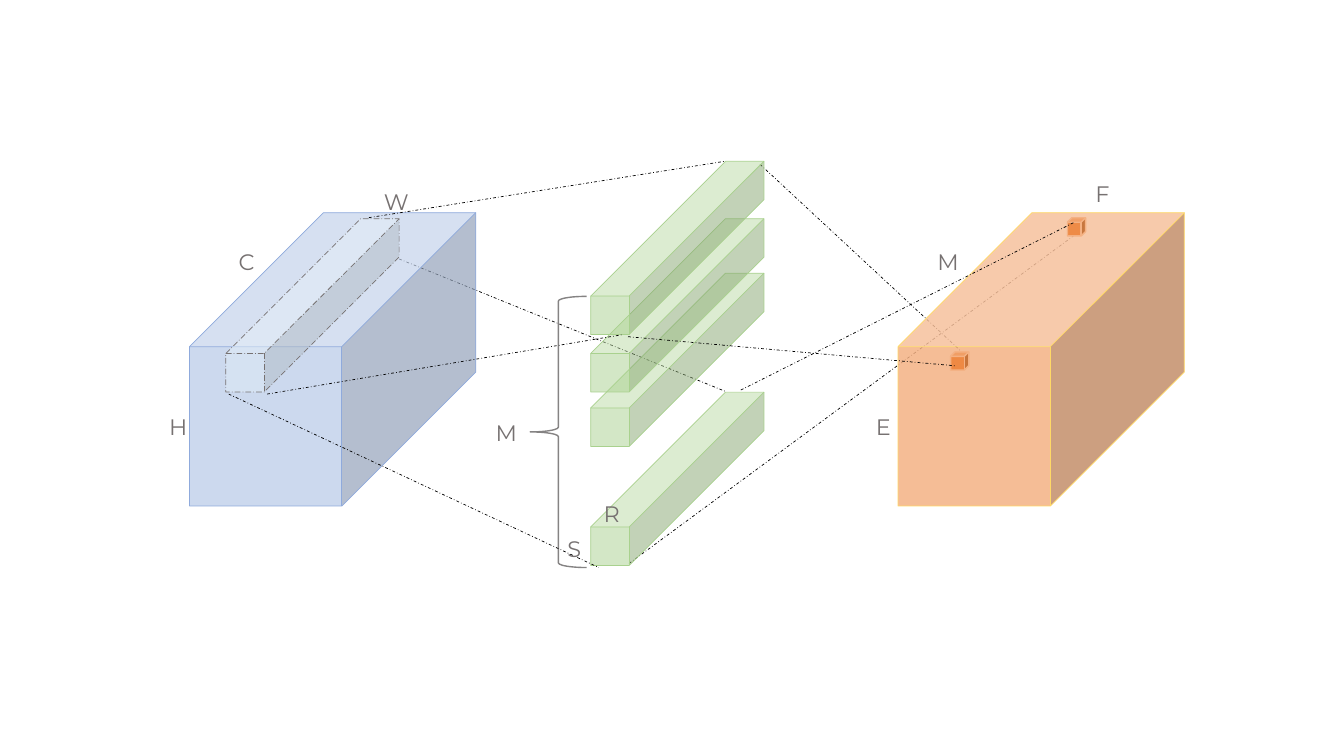
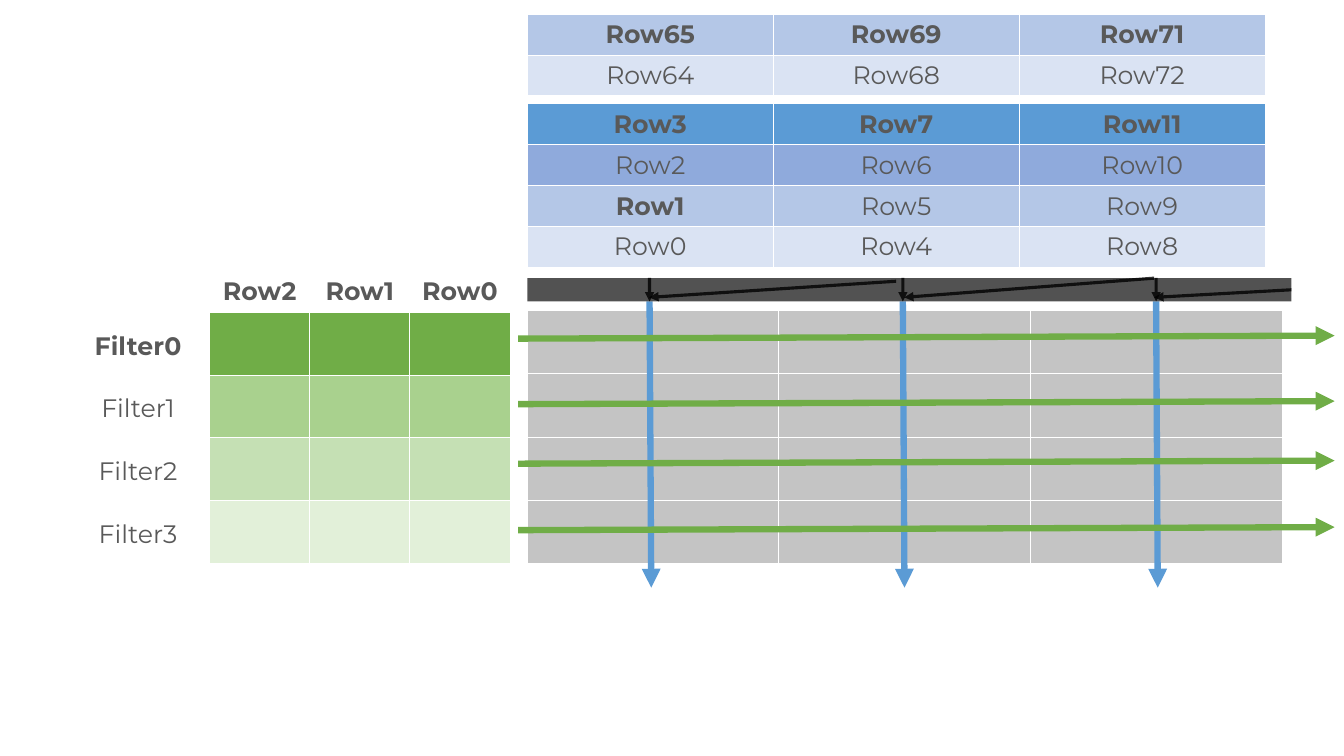
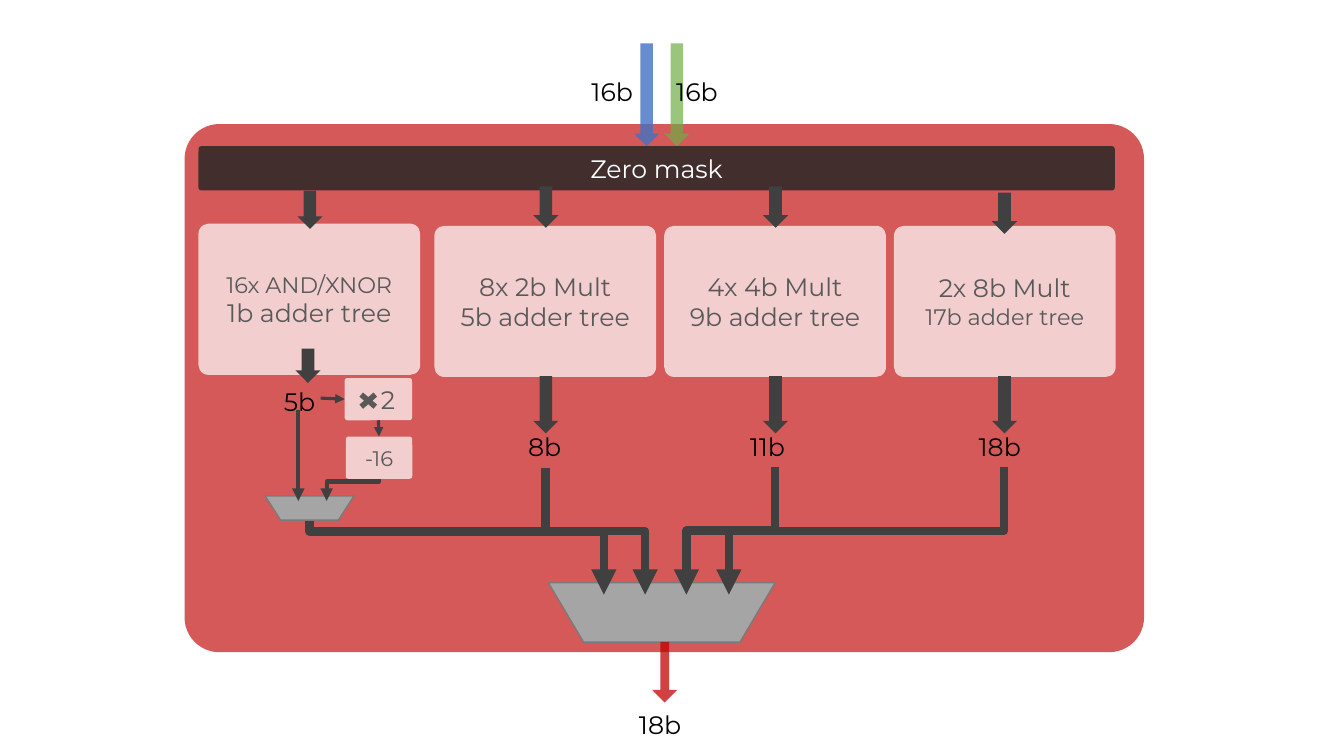
from lxml import etree
from pptx import Presentation, util as u
from pptx.dml.color import RGBColor
from pptx.enum import dml, shapes, text
from pptx.oxml import ns

Pt = u.Pt
KIND = shapes.MSO_SHAPE
DASH = dml.MSO_LINE
FONT = "Montserrat"
COLORS = {
    "black": "000000", "white": "FFFFFF", "gray": "767171", "ink": "595959",
    "dark": "404040", "mask": "262626", "brace": "3B3838",
    "silver": "A5A5A5", "silver edge": "7A7A7A",
    "royal": "4472C4", "blue": "5B9BD5", "blue 3": "8FAADC",
    "blue 2": "B4C7E7", "blue 1": "DAE3F3", "ice": "DEEBF7",
    "green": "70AD47", "green 3": "A9D18E", "green 2": "C5E0B4",
    "green 1": "E2F0D9", "orange": "ED7D31", "peach": "F4B183",
    "gold": "FFD966", "red": "C00000",
}
NS = ns.nsmap("a") if callable(ns.nsmap) else {"a": ns.nsmap["a"]}
CORNER = 0.066


# --- Shared helpers ---
def apply(target, formats):
    for name, value in formats.items():
        setattr(target, name, value)


def color(name):
    return RGBColor.from_string(COLORS[name])


def add_node(parent, tag, **attributes):
    return etree.SubElement(parent, ns.qn(tag), attributes)


def fade(parent, route, opacity):
    if opacity < 100:
        node = parent.find(route + "a:solidFill/a:srgbClr", NS)
        add_node(node, "a:alpha", val=str(opacity * 1000))


def style_line(owner, name, weight, dash=None, opacity=100):
    owner.line.color.rgb = color(name)
    owner.line.width = Pt(weight)
    if dash:
        owner.line.dash_style = dash
    fade(owner._element.spPr, "a:ln/", opacity)


def write(para, words, size, ink, bold=False, align=text.PP_ALIGN.CENTER):
    para.alignment = align
    span = para.add_run()
    span.text = words
    apply(span.font, {"name": FONT, "size": Pt(size), "bold": bold})
    span.font.color.rgb = color(ink)


# --- Element kinds ---
def add_shape(page, kind, area, fill=None, opacity=100, line=None, adjust=()):
    """Draw a preset shape; line holds the arguments of style_line."""
    shape = page.shapes.add_shape(kind, *map(Pt, area))
    shape.shadow.inherit = False
    for index, value in enumerate(adjust):
        shape.adjustments[index] = value
    if fill:
        shape.fill.solid()
        shape.fill.fore_color.rgb = color(fill)
        fade(shape._element.spPr, "", opacity)
    else:
        shape.fill.background()
    if line:
        style_line(shape, *line)
    else:
        shape.line.fill.background()
    return shape


def add_panel(page, area, lines, fill="white", opacity=71, ink="ink", indent=7.2):
    """Rounded box with centred (words, size) lines."""
    panel = add_shape(page, KIND.ROUNDED_RECTANGLE, area, fill, opacity,
                      adjust=[CORNER])
    frame = panel.text_frame
    apply(frame, {"word_wrap": True, "margin_left": Pt(indent),
                  "vertical_anchor": text.MSO_ANCHOR.MIDDLE})
    for index, (words, size) in enumerate(lines):
        para = frame.add_paragraph() if index else frame.paragraphs[0]
        write(para, words, size, ink)
    return panel


def add_label(page, words, left, top, width, size=18, ink="black"):
    height = 28.8 if size == 18 else 26.6
    box = page.shapes.add_textbox(*map(Pt, (left, top, width, height)))
    apply(box.text_frame, {"word_wrap": False,
                           "auto_size": text.MSO_AUTO_SIZE.SHAPE_TO_FIT_TEXT})
    write(box.text_frame.paragraphs[0], words, size, ink,
          align=text.PP_ALIGN.LEFT)


def finish_connector(connector, name, weight, dash=None, opacity=100, arrow=True):
    style_line(connector, name, weight, dash, opacity)
    props = connector._element.spPr
    if arrow:
        add_node(props.find("a:ln", NS), "a:tailEnd", type="triangle")
    add_node(props, "a:effectLst")


def add_line(page, ends, name, weight, begin=None, end=None, **options):
    """Straight line; begin and end are (shape, side) joints."""
    connector = page.shapes.add_connector(shapes.MSO_CONNECTOR.STRAIGHT,
                                          *map(Pt, ends))
    if begin:
        connector.begin_connect(*begin)
    if end:
        connector.end_connect(*end)
    finish_connector(connector, name, weight, **options)


def add_elbow(page, ends, bend, weight):
    """Down, across, down: a horizontal elbow turned by a quarter."""
    x1, y1, x2, y2 = ends
    length, across = y2 - y1, abs(x2 - x1)
    left, top = (x1 + x2 - length) / 2, (y1 + y2 - across) / 2
    connector = page.shapes.add_connector(
        shapes.MSO_CONNECTOR.ELBOW,
        *map(Pt, (left, top, left + length, top + across)))
    props = connector._element.spPr
    frame = props.find("a:xfrm", NS)
    if x2 > x1:
        frame.set("rot", "16200000")
        frame.set("flipH", "1")
    else:
        frame.set("rot", "5400000")
    guides = props.find("a:prstGeom/a:avLst", NS)
    add_node(guides, "a:gd", name="adj1", fmla=f"val {round(bend * 100000)}")
    finish_connector(connector, "dark", weight)


def add_grid(page, left, top, width, height, rows, fills, bold=(), opacity=100):
    """Table with white rules, one fill per row; bold lists bold words."""
    count = len(rows[0])
    table = page.shapes.add_table(
        len(rows), count, Pt(left), Pt(top),
        Pt(width) * count, Pt(height) * len(rows)).table
    apply(table, {"first_row": False, "horz_banding": False})
    for r, (row, fill) in enumerate(zip(rows, fills)):
        for c, words in enumerate(row):
            cell = table.cell(r, c)
            props = cell._tc.get_or_add_tcPr()
            for side in "LRTB":
                rule = add_node(props, f"a:ln{side}", w=str(int(Pt(0.75))))
                paint = add_node(rule, "a:solidFill")
                add_node(paint, "a:srgbClr", val=COLORS["white"])
            if fill:
                cell.fill.solid()
                cell.fill.fore_color.rgb = color(fill)
                fade(props, "", opacity)
            else:
                cell.fill.background()
            if words:
                write(cell.text_frame.paragraphs[0], words, 18, "ink",
                      words in bold)


# --- Slide 1: convolution volumes ---
def draw_convolution(page):
    def project(*lines):
        for ends in lines:
            add_line(page, ends, "black", 0.5, dash=DASH.DASH_DOT, arrow=False)

    def add_cube(left, top, width, height, *look, depth=0.25):
        add_shape(page, KIND.CUBE, (left, top, width, height), *look, [depth])

    # Projection lines behind the volumes
    project((542.9, 117.4, 686.9, 251.3), (449.3, 402.5, 766.8, 168.5),
            (285.1, 185, 517.7, 279.4))

    # Input and output volumes
    add_cube(135.4, 151.9, 204.5, 209.5, "blue 2", 67, ("blue 3", 0.5), depth=0.468)
    add_cube(641.5, 151.9, 204.5, 209.5, "peach", 84, ("gold", 0.5), depth=0.468)

    # Filters, input window and output points
    side = 123.8
    for top in (195.1, 156.2, 115.2, 280.1):
        add_cube(421.9, top, side, side, "green 3", 50, ("green 3", 0.5), depth=0.778)
    add_cube(161.3, 156.2, side, side, "ice", 50,
             ("gray", 0.5, DASH.LONG_DASH_DOT), depth=0.778)
    for left, top in ((679, 251.3), (762.5, 155.5)):
        add_cube(left, top, 13, 13, "orange", 81, ("peach", 1))

    # Projection lines in front
    project((190.8, 281.5, 445, 239), (263.5, 155.5, 517.7, 115.2),
            (448.6, 240.5, 683.3, 261.4), (163.4, 281.5, 427.7, 405.4),
            (529.2, 278.6, 766.8, 159.1))

    # Dimension labels
    for words, left, top, width in (
            ("H", 113.8, 291.6, 28), ("W", 267.1, 131, 31),
            ("C", 163.4, 173.5, 27.4), ("M", 662.4, 173.5, 29.5),
            ("E", 618.5, 291.6, 26), ("F", 775.4, 125.3, 26),
            ("R", 424.1, 353.5, 27.4), ("S", 398.2, 378.7, 27.4),
            ("M", 347, 295.9, 29.5)):
        add_label(page, words, left, top, width, 16, "gray")
    add_shape(page, KIND.LEFT_BRACE, (378.7, 211.7, 40.3, 193.7),
              line=("brace", 1, None, 62))


# --- Slide 2: rows streamed through the array ---
def draw_array(page):
    left = 376.6
    blank = [[""] * 3] * 4

    # Tables
    add_grid(page, left, 221.8, 179.8, 45.2, blank, ["silver"] * 4, opacity=65)
    add_grid(page, left, 74.2, 175.7, 28.8,
             [["Row3", "Row7", "Row11"], ["Row2", "Row6", "Row10"],
              ["Row1", "Row5", "Row9"], ["Row0", "Row4", "Row8"]],
             ["blue", "blue 3", "blue 2", "blue 1"],
             bold=("Row3", "Row7", "Row11", "Row1"))
    upper = ["Row65", "Row69", "Row71"]
    add_grid(page, left, 10.1, 175.7, 28.8,
             [upper, ["Row64", "Row68", "Row72"]], ["blue 2", "blue 1"], upper)
    add_grid(page, 149.8, 223.2, 71.5, 44.8, blank,
             ["green", "green 3", "green 2", "green 1"])
    heads = ["Row2", "Row1", "Row0"]
    add_grid(page, 149.8, 193.7, 71.5, 29.5, [heads], [None], heads)
    add_grid(page, 47.5, 232.6, 102.2, 44.8,
             [[f"Filter{i}"] for i in range(4)], [None] * 4, ("Filter0",))

    # Data flow down the columns and along the rows
    columns = [464 + 180.9 * i for i in range(3)]
    for x in columns:
        add_line(page, (x, 215.3, x + 1.2, 419.8), "blue", 4.5)
    for y in (241.9, 288.7, 331.2, 378.7):
        add_line(page, (370.1, y, 953.3, y - 2.2), "green", 4.5)

    # Feed bar with its arrows
    bar = add_shape(page, KIND.RECTANGLE, (left, 198.7, 545.8, 16.6), "black", 68)
    feeds = [((640.1, 200.9, 463.7, 212.4), None),
             ((824.4, 198.7, 645.8, 212.4), None),
             ((922.4, 207, 824.4, 212.4), (bar, 3))]
    feeds += [((x, 198.4, x, 215.3), None) for x in columns]
    for ends, begin in feeds:
        add_line(page, ends, "black", 2.25, begin=begin, opacity=80)


# --- Slide 3: processing element ---
def draw_element(page):
    def add_arrow(left, top, height, fill="dark", opacity=100, adjust=()):
        add_shape(page, KIND.DOWN_ARROW, (left, top, 18, height), fill,
                  opacity, adjust=adjust)

    def add_mux(area, slant):
        mux = add_shape(page, KIND.TRAPEZOID, area, "silver",
                        line=("silver edge", 1), adjust=[slant])
        mux.rotation = 180

    # Body, inputs and mask
    add_shape(page, KIND.ROUNDED_RECTANGLE, (131.8, 88.6, 685.4, 377.3),
              "red", 65, adjust=[CORNER])
    add_arrow(452.9, 31, 73.4, "royal", 81)
    add_arrow(474.5, 31, 73.4, "green", 70)
    for left in (415.4, 475.9):
        add_label(page, "16b", left, 51.1, 51.1)
    add_panel(page, (141.8, 104.4, 654.5, 31.7), [("Zero mask", 18)],
              "mask", 83, "white")

    # Lanes: box, arrow in, arrow out, width label
    lanes = [
        ((141.8, 159.8), [("16x AND/XNOR", 16), ("1b adder tree", 18)],
         (212.4, 136.1, 27.4), (211, 249.1, 24.5), ("5b", 195.8, 272.2, 38.9)),
        ((310.3, 161.3), [("8x 2b Mult", 18), ("5b adder tree", 18)],
         (380.9, 133.2, 29.5), (380.9, 268.6, 41), ("8b", 370.1, 304.6, 38.9)),
        ((474.5, 161.3), [("4x 4b Mult", 18), ("9b adder tree", 18)],
         (545, 133.2, 29.5), (545, 268.6, 41), ("11b", 528.5, 304.6, 51.1)),
        ((638.6, 161.3), [("2x 8b Mult", 18), ("17b adder tree", 16)],
         (708.5, 137.5, 29.5), (708.5, 268.6, 41), ("18b", 691.9, 304.6, 51.1)),
    ]
    for corner, lines, arrow_in, arrow_out, label in lanes:
        add_panel(page, (*corner, 158.4, 108), lines)
        add_arrow(*arrow_in)
        add_arrow(*arrow_out)
        add_label(page, *label)

    # Output multiplexer
    add_mux((391.7, 416.2, 162, 42.5), 0.592)
    add_arrow(465.8, 458.6, 43.2, "red", 74, (0.346, 0.5))
    add_label(page, "18b", 449.3, 503.3, 51.1)
    for x1, y1, x2, bend in ((221, 372.2, 431.3, 0.14), (389.5, 334.1, 460.8, 0.5),
                             (553.7, 333.4, 490.3, 0.5), (717.1, 333.4, 520.6, 0.5)):
        add_elbow(page, (x1, y1, x2, 424.8), bend, 6)

    # Correction of the one-bit lane
    add_mux((189.4, 354.2, 63.4, 17.3), 0.638)
    double = add_panel(page, (246.2, 270, 48.2, 30.2), [("2", 18)], indent=21)
    add_shape(page, KIND.MATH_MULTIPLY, (253.4, 277.9, 19.4, 16.6), "ink")
    offset = add_panel(page, (247, 311.8, 47.5, 30.2), [("-16", 15)])
    add_elbow(page, (270.7, 342, 233.3, 357.8), 0.126, 3)
    add_line(page, (229, 284.4, 246.2, 285.1), "dark", 2.25, end=(double, 1))
    add_line(page, (270.3, 300.2, 270.7, 311.8), "dark", 2.25,
             begin=(double, 2), end=(offset, 0))
    add_line(page, (213.1, 293, 213.1, 357.8), "dark", 3)


def main():
    deck = Presentation()
    apply(deck, {"slide_width": Pt(960), "slide_height": Pt(540)})
    for draw in (draw_convolution, draw_array, draw_element):
        draw(deck.slides.add_slide(deck.slide_layouts[6]))
    deck.save("out.pptx")


if __name__ == "__main__":
    main()
